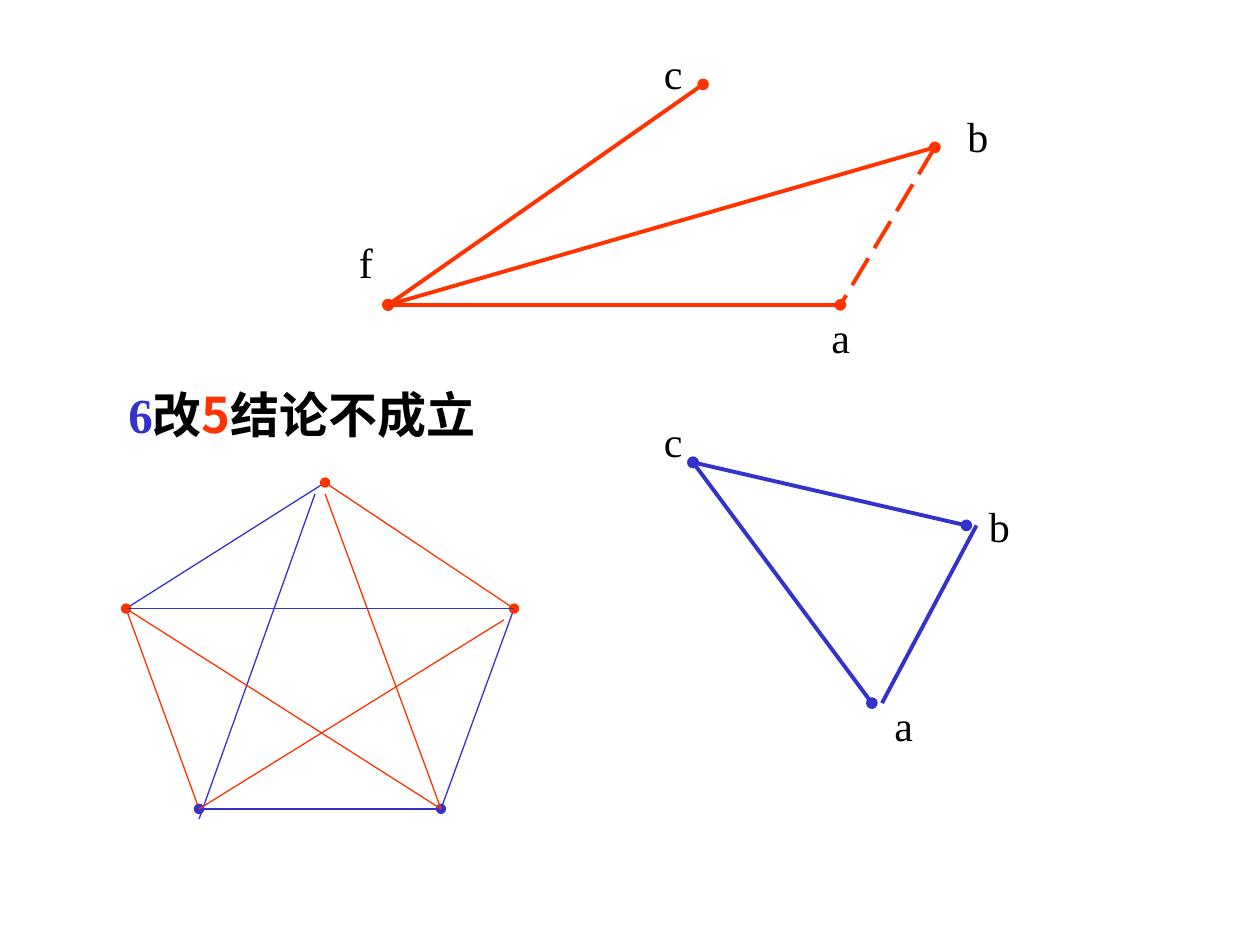
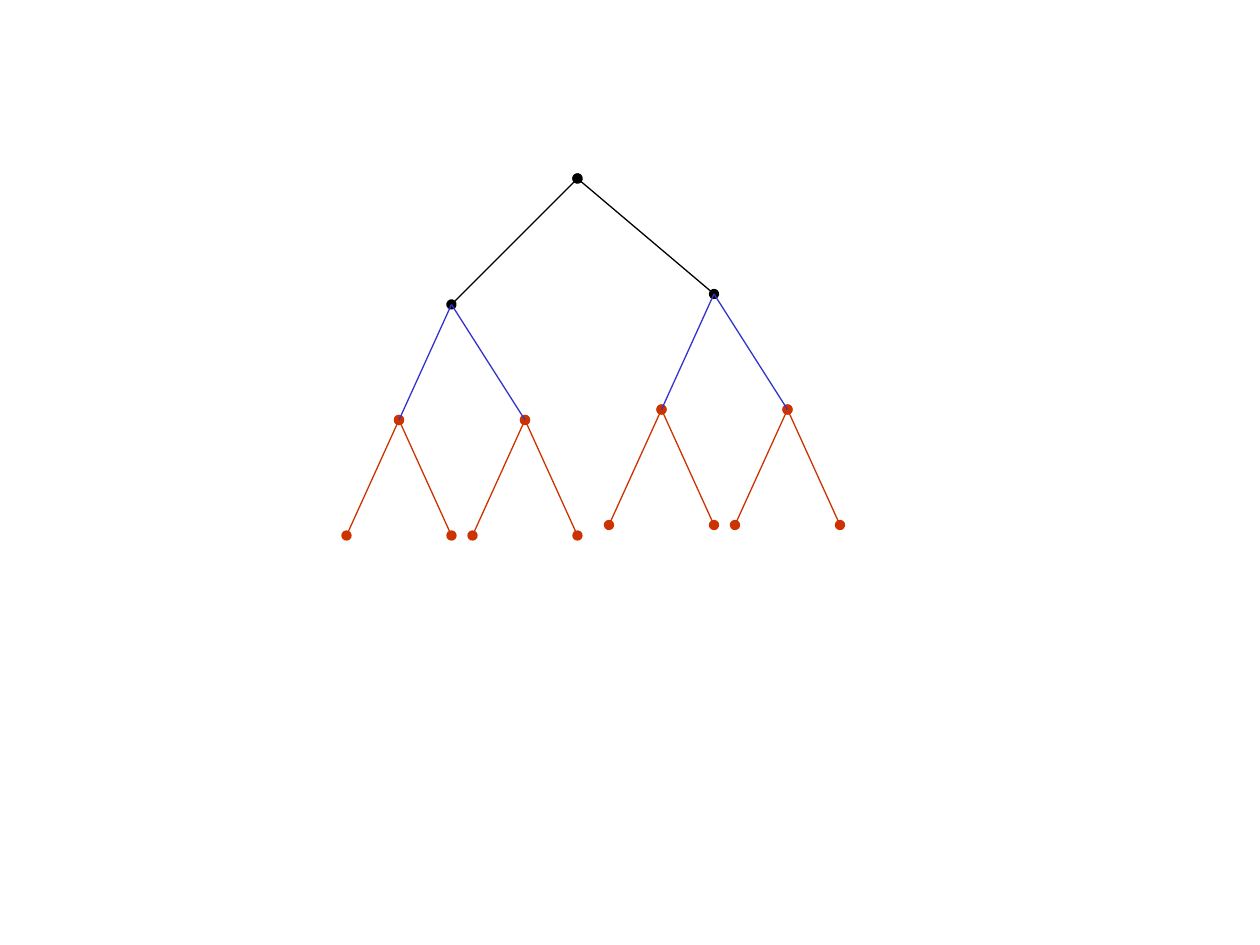
from dataclasses import dataclass

from lxml import etree
from pptx import Presentation
from pptx.dml.color import RGBColor
from pptx.enum.dml import MSO_LINE
from pptx.enum.shapes import MSO_CONNECTOR
from pptx.enum.text import MSO_ANCHOR, MSO_AUTO_SIZE
from pptx.oxml.ns import qn
from pptx.util import Inches, Pt

STRAIGHT = MSO_CONNECTOR.STRAIGHT
LONG_DASH = MSO_LINE.LONG_DASH
TOP = MSO_ANCHOR.TOP
GROW = MSO_AUTO_SIZE.SHAPE_TO_FIT_TEXT


@dataclass(frozen=True)
class Theme:
    """Colours, fonts, type sizes and line widths of the deck."""
    red: str = "FF3300"
    blue: str = "3333CC"
    rust: str = "CC3300"
    black: str = "000000"
    latin: str = "Times New Roman"
    cjk: str = "Noto Sans CJK SC"
    label: float = 24
    heading: float = 28
    thin: float = 0.75
    thick: float = 2.25


THEME = Theme()


def add_edge(s, start, end, color, width=THEME.thin, dots=False, dash=None):
    """Draw a straight edge, with a round dot at both ends if asked."""
    sp = s.shapes.add_connector(STRAIGHT, *map(Inches, start + end))
    sp.line.color.rgb = RGBColor.from_string(color)
    sp.line.width = Pt(width)
    if dash:
        sp.line.dash_style = dash
    sp_pr = sp._element.spPr
    if dots:
        for tag in ("a:headEnd", "a:tailEnd"):
            etree.SubElement(sp_pr.find(qn("a:ln")), qn(tag), type="oval")
    etree.SubElement(sp_pr, qn("a:effectLst"))


def add_text(s, box, runs, size, space, bold=False):
    """Add a one-line text box from (text, font, colour) runs."""
    tf = s.shapes.add_textbox(*map(Inches, box)).text_frame
    tf.word_wrap = True
    tf.auto_size = GROW
    tf.vertical_anchor = TOP
    p = tf.paragraphs[0]
    p.space_before = Pt(space)
    for text, font, color in runs:
        r = p.add_run()
        r.text = text
        r.font.name = font
        r.font.size = Pt(size)
        r.font.bold = bold
        r.font.color.rgb = RGBColor.from_string(color)
        etree.SubElement(r.font._element, qn("a:ea"), typeface=font)


def add_label(s, text, left, top, width=0.5):
    """Name a vertex."""
    runs = [(text, THEME.latin, THEME.black)]
    add_text(s, (left, top, width, 0.5), runs, THEME.label, 15)


def add_fan(s):
    """Draw the red edges from f to a, b and c, and the dashed edge ab."""
    f, a, b, c = (3.08, 2.42), (6.67, 2.42), (7.42, 1.17), (5.58, 0.67)
    for end in (c, b, a):
        add_edge(s, f, end, THEME.red, THEME.thick, dots=True)
    add_edge(s, b, a, THEME.red, THEME.thick, dash=LONG_DASH)
    add_label(s, "f", 2.75, 1.83, 0.42)
    add_label(s, "a", 6.5, 2.42, 0.42)
    add_label(s, "b", 7.58, 0.83)
    add_label(s, "c", 5.17, 0.33, 0.42)


def add_triangle(s):
    """Draw the blue triangle abc."""
    c = (5.5, 3.67)
    for end in ((6.92, 5.58), (7.67, 4.17)):
        add_edge(s, c, end, THEME.blue, THEME.thick, dots=True)
    add_edge(s, (7, 5.58), (7.75, 4.17), THEME.blue, THEME.thick)
    add_label(s, "a", 7, 5.5)
    add_label(s, "b", 7.75, 3.92)
    add_label(s, "c", 5.17, 3.25, 0.42)


def add_pentagon(s):
    """Draw the two-coloured complete graph on five vertices."""
    top, left, right = (2.58, 3.83), (1, 4.83), (4.08, 4.83)
    low_left, low_right = (1.58, 6.42), (3.5, 6.42)
    red, blue = THEME.red, THEME.blue
    for start, end, color, dots in (
        (top, left, blue, False),
        (left, low_left, red, True),
        (low_left, low_right, blue, True),
        (low_right, right, blue, False),
        (top, right, red, True),
        ((2.5, 3.92), (1.58, 6.5), blue, False),
        (low_right, (2.58, 3.92), red, False),
        (left, right, blue, False),
        (left, low_right, red, False),
        (low_left, (4, 4.92), red, False),
    ):
        add_edge(s, start, end, color, dots=dots)


def add_branches(s, node, children, color, dots):
    """Join a node to its children, all on a grid of twelfths of an inch."""
    start = tuple(v / 12 for v in node)
    for child in children:
        add_edge(s, start, tuple(v / 12 for v in child), color, dots=dots)


def add_tree(s):
    """Draw the binary tree: black top, blue middle, rust leaves."""
    root, sides, drop = (55, 17), ((43, 29), (68, 28)), 11
    add_branches(s, root, sides, THEME.black, True)
    for x, y in sides:
        inner = [(x + dx, y + drop) for dx in (-5, 7)]
        for ix, iy in inner:
            leaves = [(ix + dx, iy + drop) for dx in (-5, 5)]
            add_branches(s, (ix, iy), leaves, THEME.rust, True)
        add_branches(s, (x, y), inner, THEME.blue, False)


def main():
    """Build the two slides and save them."""
    prs = Presentation()
    prs.slide_width, prs.slide_height = Inches(10), Inches(7.5)
    blank = prs.slide_layouts[6]

    s = prs.slides.add_slide(blank)
    add_fan(s)
    add_triangle(s)
    add_pentagon(s)
    heading = [
        ("6", THEME.latin, THEME.blue),
        ("改", THEME.cjk, THEME.black),
        ("5", THEME.cjk, THEME.red),
        ("结论不成立", THEME.cjk, THEME.black),
    ]
    add_text(s, (0.92, 3, 3.25, 0.57), heading, THEME.heading, 17.5, bold=True)

    add_tree(prs.slides.add_slide(blank))
    prs.save("out.pptx")


if __name__ == "__main__":
    main()
